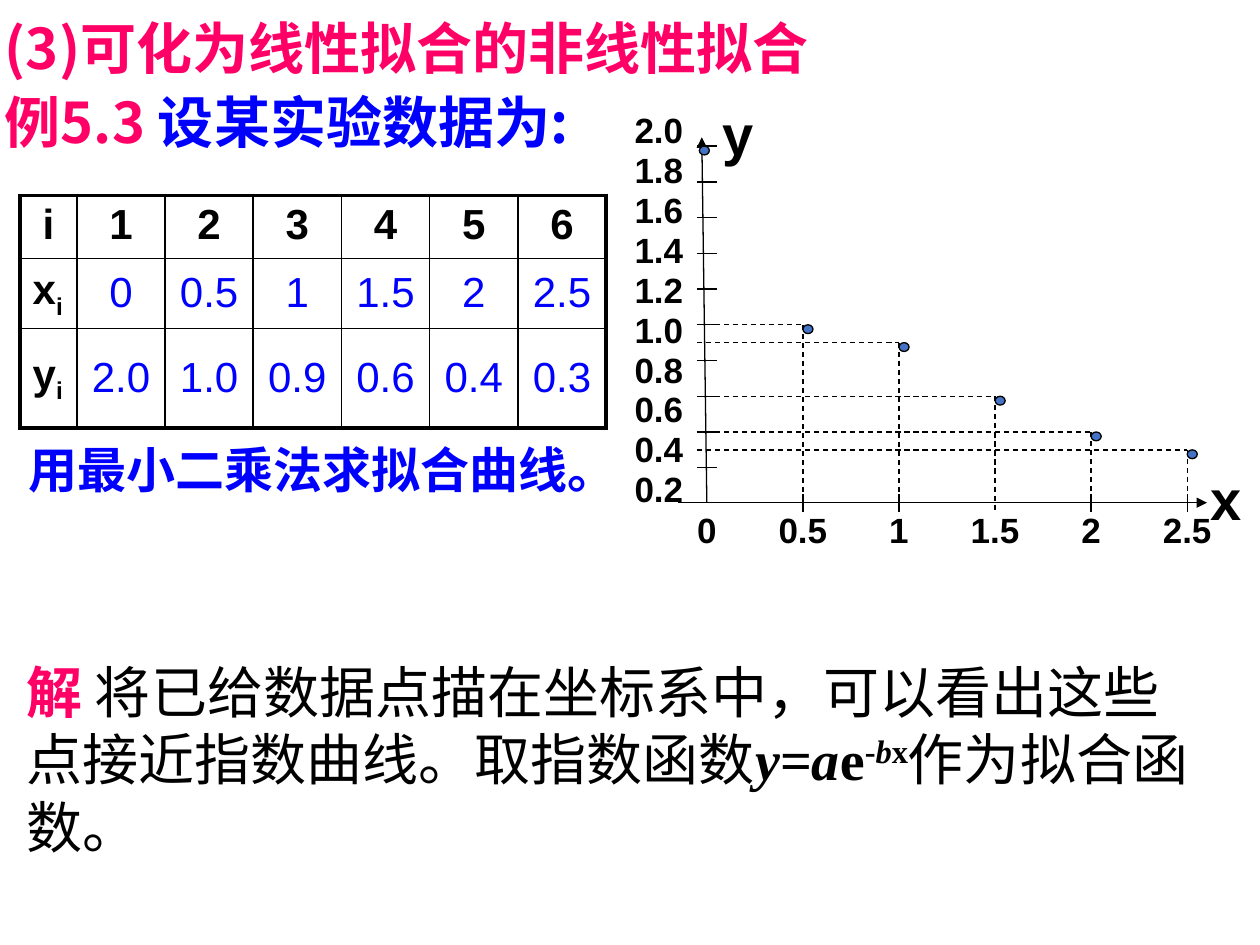
from lxml.etree import SubElement
from pptx import Presentation
from pptx.dml.color import RGBColor
from pptx.enum.dml import MSO_LINE
from pptx.enum.shapes import MSO_CONNECTOR, MSO_SHAPE
from pptx.enum.text import MSO_ANCHOR, PP_ALIGN
from pptx.oxml.ns import qn
from pptx.util import Inches, Pt

BLACK, WHITE, BLUE, PINK, DOT = "000000", "FFFFFF", "0000FF", "FF0066", "4472C4"
CJK = "Noto Sans CJK SC"

HEADING = {"name": CJK, "size": Pt(32), "bold": True, "color": PINK}
BODY = HEADING | {"bold": False, "color": BLACK}
TASK = {"name": "Arial", "size": Pt(28), "bold": True, "color": BLUE}
FORMULA = {"name": "Times New Roman", "size": Pt(32), "bold": True, "color": BLACK}
SYMBOL = FORMULA | {"italic": True}
EXPONENT = {"baseline": 30}
HEAD_CELL = {"name": "Arial", "size": Pt(24), "bold": True, "color": BLACK}
DATA_CELL = HEAD_CELL | {"bold": False, "color": BLUE}
SCALE = HEAD_CELL | {"size": Pt(20)}
AXIS_NAME = HEAD_CELL | {"size": Pt(32)}

TITLE = [
    [("(3)可化为线性拟合的非线性拟合", HEADING)],
    [("例5.3 ", HEADING), ("设某实验数据为:", HEADING | {"color": BLUE})],
]
QUESTION = [[("用最小二乘法求拟合曲线。", TASK)]]
SOLUTION = [[
    ("解 ", HEADING),
    ("将已给数据点描在坐标系中，可以看出这些点接近指数曲线。取指数函数", BODY),
    ("y", SYMBOL), ("=", FORMULA), ("a", SYMBOL), ("e", FORMULA),
    ("-", FORMULA | EXPONENT), ("b", SYMBOL | EXPONENT), ("x", FORMULA | EXPONENT),
    ("作为拟合函数。", BODY),
]]
X_VALUES = ["0", "0.5", "1", "1.5", "2", "2.5"]
Y_VALUES = ["2.0", "1.0", "0.9", "0.6", "0.4", "0.3"]
Y_SCALE = [f"{tenths / 10:.1f}" for tenths in range(20, 0, -2)]
COLUMN_WIDTHS = [0.45] + [0.7] * 6
ROW_HEIGHTS = [0.48, 0.53, 0.79]
ORIGIN_X, AXIS_Y, TOP_Y = 5.61, 3.99, 1.16
X_UNIT, Y_UNIT = 1.525, 1.418


def rgb(value):
    return RGBColor.from_string(value)


def write(paragraph, runs, **layout):
    for key, value in layout.items():
        setattr(paragraph, key, value)
    for text, style in runs:
        run = paragraph.add_run()
        run.text = text
        run.font.color.rgb = rgb(style["color"])
        for key in ("name", "size", "bold", "italic"):
            if key in style:
                setattr(run.font, key, style[key])
        properties = run.font._element
        SubElement(properties, qn("a:ea"), typeface=CJK)
        if "baseline" in style:
            properties.set("baseline", str(style["baseline"] * 1000))


def fill_frame(frame, paragraphs, **layout):
    for index, runs in enumerate(paragraphs):
        paragraph = frame.add_paragraph() if index else frame.paragraphs[0]
        write(paragraph, runs, **layout)


def text_box(slide, place, paragraphs, **layout):
    frame = slide.shapes.add_textbox(*map(Inches, place)).text_frame
    frame.word_wrap = True
    fill_frame(frame, paragraphs, **layout)
    return frame


def shape(slide, preset, place, fill, outline):
    item = slide.shapes.add_shape(preset, *map(Inches, place))
    item.shadow.inherit = False
    item.fill.solid()
    item.fill.fore_color.rgb = rgb(fill)
    item.line.color.rgb = rgb(outline)
    item.line.width = Pt(0.75)
    return item


def label(slide, place, paragraphs, **layout):
    frame = shape(slide, MSO_SHAPE.RECTANGLE, place, WHITE, WHITE).text_frame
    frame.word_wrap = False
    frame.vertical_anchor = MSO_ANCHOR.MIDDLE
    fill_frame(frame, paragraphs, **{"alignment": PP_ALIGN.CENTER} | layout)
    return frame


def line(slide, start, end, dashed=False, arrow=False):
    connector = slide.shapes.add_connector(
        MSO_CONNECTOR.STRAIGHT, *map(Inches, (*start, *end)))
    connector.line.color.rgb = rgb(BLACK)
    connector.line.width = Pt(0.75)
    if dashed:
        connector.line.dash_style = MSO_LINE.DASH
    if arrow:
        SubElement(connector.line._get_or_add_ln(), qn("a:tailEnd"), type="triangle")
    SubElement(connector._element.spPr, qn("a:effectLst"))


def border(cell, widths):
    properties = cell._tc.get_or_add_tcPr()
    for index, (side, width) in enumerate(zip("LRTB", widths)):
        edge = SubElement(properties, qn(f"a:ln{side}"), w=str(Pt(width)))
        paint = SubElement(edge, qn("a:solidFill"))
        SubElement(paint, qn("a:srgbClr"), val=BLACK)
        properties.insert(index, edge)


def data_table(slide):
    rows = [
        [[(str(i), HEAD_CELL)] for i in ("i", *range(1, 7))],
        *([[(name, HEAD_CELL), ("i", HEAD_CELL | {"baseline": -25})]]
          + [[(value, DATA_CELL)] for value in values]
          for name, values in (("x", X_VALUES), ("y", Y_VALUES))),
    ]
    size = (sum(COLUMN_WIDTHS), sum(ROW_HEIGHTS))
    table = slide.shapes.add_table(
        len(rows), len(rows[0]), *map(Inches, (0.16, 1.55, *size))).table
    table.first_row = table.horz_banding = False
    for column, width in zip(table.columns, COLUMN_WIDTHS):
        column.width = Inches(width)
    for r, (row, height) in enumerate(zip(rows, ROW_HEIGHTS)):
        table.rows[r].height = Inches(height)
        for c, runs in enumerate(row):
            cell = table.cell(r, c)
            cell.vertical_anchor = MSO_ANCHOR.MIDDLE if r else MSO_ANCHOR.TOP
            cell.fill.background()
            outer = (c == 0, c == len(row) - 1, r == 0, r == len(rows) - 1)
            border(cell, [2.25 if edge else 1 for edge in outer])
            centred = r == 0 or c > 0
            write(cell.text_frame.paragraphs[0], runs,
                  alignment=PP_ALIGN.CENTER if centred else PP_ALIGN.LEFT)


def x_at(value):
    return ORIGIN_X + float(value) * X_UNIT


def y_at(value):
    return TOP_Y + (2 - float(value)) * Y_UNIT


def x_scale(slide):
    left = 5.46
    frame = label(slide, (left, 4.06, 4.2, 0.28), [[]], alignment=PP_ALIGN.LEFT)
    frame.word_wrap = True
    frame.margin_left = frame.margin_right = 0
    paragraph = frame.paragraphs[0]
    tabs = SubElement(paragraph._p.get_or_add_pPr(), qn("a:tabLst"))
    for value in X_VALUES:
        SubElement(tabs, qn("a:tab"), pos=str(Inches(x_at(value) - left)), algn="ctr")
    write(paragraph, [("\t" + "\t".join(X_VALUES), SCALE)])


def scatter_plot(slide):
    label(slide, (5, 1.09, 0.46, 2.76), [[(v, SCALE)] for v in Y_SCALE],
          line_spacing=0.95)
    x_scale(slide)
    label(slide, (9.58, 3.85, 0.3, 0.21), [[("x", AXIS_NAME)]])
    label(slide, (5.71, 0.95, 0.3, 0.21), [[("y", AXIS_NAME)]])
    line(slide, (5.38, AXIS_Y), (9.58, AXIS_Y), arrow=True)
    line(slide, (ORIGIN_X, AXIS_Y), (5.57, 1.09), arrow=True)
    for value in Y_SCALE:
        line(slide, (5.53, y_at(value)), (5.69, y_at(value)))
    for x_value, y_value in zip(X_VALUES, Y_VALUES):
        x, y = x_at(x_value), y_at(y_value)
        if x_value == "0":
            x = 5.55
        else:
            line(slide, (5.53, y), (x, y), dashed=True)
            line(slide, (x, y), (x, 4.06), dashed=True)
            if x_value != "1.5":
                line(slide, (x, 3.92), (x, 4.06))
        shape(slide, MSO_SHAPE.OVAL, (x, y, 0.08, 0.07), DOT, BLACK)


def main():
    """Build the curve-fitting example slide."""
    deck = Presentation()
    deck.slide_width, deck.slide_height = Inches(10), Inches(7.5)
    slide = deck.slides.add_slide(deck.slide_layouts[6])
    heading = text_box(slide, (-0.06, 0.12, 10.04, 1.26), TITLE, line_spacing=0.9)
    heading.paragraphs[1].space_before = Pt(7.5)
    data_table(slide)
    scatter_plot(slide)
    text_box(slide, (0.13, 3.44, 4.99, 0.92), QUESTION)
    text_box(slide, (0.11, 5.17, 9.5, 1.87), SOLUTION)
    deck.save("out.pptx")


if __name__ == "__main__":
    main()
